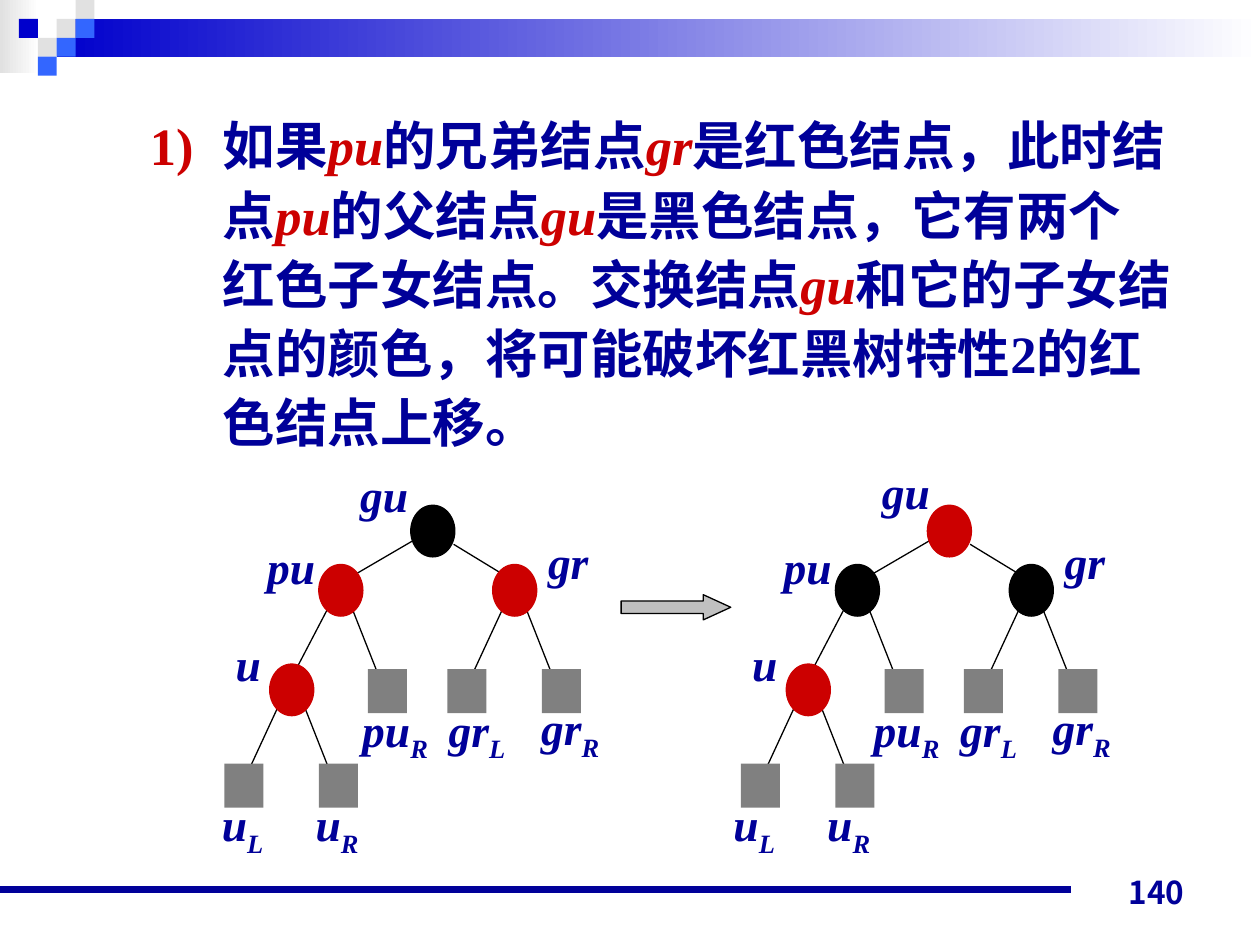
from lxml import etree
from pptx import Presentation
from pptx.dml.color import RGBColor
from pptx.enum.shapes import MSO_CONNECTOR, MSO_SHAPE
from pptx.enum.text import MSO_ANCHOR, MSO_AUTO_SIZE, PP_ALIGN
from pptx.oxml.ns import qn
from pptx.util import Inches, Pt

RECT, OVAL, ARROW = MSO_SHAPE.RECTANGLE, MSO_SHAPE.OVAL, MSO_SHAPE.RIGHT_ARROW
STRAIGHT = MSO_CONNECTOR.STRAIGHT
LEFT, CENTER, RIGHT = PP_ALIGN.LEFT, PP_ALIGN.CENTER, PP_ALIGN.RIGHT
TOP, BOTTOM = MSO_ANCHOR.TOP, MSO_ANCHOR.BOTTOM
GROW = MSO_AUTO_SIZE.SHAPE_TO_FIT_TEXT

NAVY = RGBColor(0x00, 0x00, 0x99)
BLUE = RGBColor(0x00, 0x00, 0xCC)
SKY = RGBColor(0x33, 0x66, 0xFF)
RED = RGBColor(0xCC, 0x00, 0x00)
BLACK = RGBColor(0x00, 0x00, 0x00)
GRAY = RGBColor(0x80, 0x80, 0x80)
SILVER = RGBColor(0xC0, 0xC0, 0xC0)
PALE = RGBColor(0xE1, 0xE1, 0xE1)
WHITE = RGBColor(0xFF, 0xFF, 0xFF)

SERIF, SANS = "Times New Roman", "Noto Sans CJK JP"
BODY = {"size": Pt(30), "name": SERIF, "bold": True, "italic": False}
LABEL = {"size": Pt(26), "name": SERIF, "bold": True, "italic": True}
NUMBER = {"size": Pt(18), "name": SANS, "bold": True}

# Inner nodes: name, left, top
NODES = [("gu", 3.26, 4.01), ("pu", 2.53, 4.48), ("gr", 3.91, 4.48), ("u", 2.14, 5.27)]
# Edges from the root: start, end
ROOT_EDGES = [(3.28, 4.29, 2.68, 4.64), (3.6, 4.32, 4.06, 4.6)]
# Forks below a node: x, y, reach of the left edge, offsets of the leaves
FORKS = [
    (2.68, 4.68, 0.35, [0.24]),
    (4.06, 4.68, 0.31, [-0.51, 0.24]),
    (2.29, 5.43, 0.31, [-0.51, 0.24]),
]
NODE_LABELS = [("pu", 2.02, 4.23, 0.58), ("u", 1.77, 5, 0.4), ("gr", 4.25, 4.19, 0.52)]
# Leaf labels: name, subscript, left, top, width
LEAF_LABELS = [
    ("u", "L", 1.57, 6.27, 0.71),
    ("u", "R", 2.32, 6.27, 0.71),
    ("pu", "R", 2.72, 5.52, 0.83),
    ("gr", "L", 3.43, 5.52, 0.71),
    ("gr", "R", 4.17, 5.51, 0.71),
]
STATEMENT = [
    ("1)\t", RED, False), ("如果", NAVY, False), ("pu", RED, True),
    ("的兄弟结点", NAVY, False), ("gr", RED, True),
    ("是红色结点，此时结点", NAVY, False), ("pu", RED, True),
    ("的父结点", NAVY, False), ("gu", RED, True),
    ("是黑色结点，它有两个红色子女结点。交换结点", NAVY, False), ("gu", RED, True),
    ("和它的子女结点的颜色，将可能破坏红黑树特性2的红色结点上移。", NAVY, False),
]


class SlideBuilder:
    def __init__(self, page):
        self.page = page

    def shape(self, kind, left, top, width, height, color, outline=None):
        shape = self.page.shapes.add_shape(
            kind, Inches(left), Inches(top), Inches(width), Inches(height))
        shape.shadow.inherit = False
        shape.fill.solid()
        shape.fill.fore_color.rgb = color
        if outline is None:
            shape.line.fill.background()
        else:
            shape.line.color.rgb = outline
            shape.line.width = Pt(0.75)
        return shape

    def fade(self, left, top, width, height, start):
        shape = self.shape(RECT, left, top, width, height, start)
        shape.fill.gradient()
        shape.fill.gradient_angle = 0
        for stop, position, color in zip(shape.fill.gradient_stops, (0, 1), (start, WHITE)):
            stop.position = position
            stop.color.rgb = color

    def line(self, x1, y1, x2, y2, color=BLACK, width=0.75):
        line = self.page.shapes.add_connector(
            STRAIGHT, Inches(x1), Inches(y1), Inches(x2), Inches(y2))
        line.line.color.rgb = color
        line.line.width = Pt(width)
        etree.SubElement(line._element.spPr, qn("a:effectLst"))

    def text(self, left, top, width, height, align=CENTER, anchor=TOP, wrap=True):
        box = self.page.shapes.add_textbox(
            Inches(left), Inches(top), Inches(width), Inches(height))
        box.text_frame.word_wrap = wrap
        box.text_frame.vertical_anchor = anchor
        para = box.text_frame.paragraphs[0]
        para.alignment = align
        return box, para

    def span(self, para, words, style, color=NAVY):
        span = para.add_run()
        span.text = words
        for key, value in style.items():
            setattr(span.font, key, value)
        span.font.color.rgb = color
        properties = span.font._element
        etree.SubElement(properties, qn("a:ea")).set("typeface", SANS)
        return properties

    def label(self, name, left, top, width, subscript=None):
        box, para = self.text(left, top, width, 0.53, wrap=subscript is not None)
        box.text_frame.auto_size = GROW
        self.span(para, name, LABEL)
        if subscript:
            self.span(para, subscript, LABEL).set("baseline", "-25000")

    def tree(self, shift, label_shift, colors, root_label):
        for x1, y1, x2, y2 in ROOT_EDGES:
            self.line(x1 + shift, y1, x2 + shift, y2)
        for x, y, reach, leaves in FORKS:
            x += shift
            self.line(x, y, x - reach, y + 0.67)
            self.line(x + 0.04, y - 0.04, x + 0.32, y + 0.67)
            for offset in leaves:
                self.shape(RECT, x + offset, y + 0.63, 0.31, 0.35, GRAY)
        for name, left, top in NODES:
            self.shape(OVAL, left + shift, top, 0.35, 0.41, colors[name], colors[name])
        self.label("gu", *root_label, 0.58)
        for name, left, top, width in NODE_LABELS:
            self.label(name, left + shift, top, width)
        for name, subscript, left, top, width in LEAF_LABELS:
            self.label(name, left + label_shift, top, width, subscript)


def main():
    deck = Presentation()
    deck.slide_width, deck.slide_height = Inches(10), Inches(7.5)
    builder = SlideBuilder(deck.slides.add_slide(deck.slide_layouts[6]))

    # Header band and mosaic
    builder.fade(0, 0, 0.31, 0.58, PALE)
    builder.fade(0.45, 0.15, 9.55, 0.3, BLUE)
    for column, row, color in [(3, 1, PALE), (4, 0, PALE), (4, 1, SKY), (2, 2, PALE),
                               (1, 1, BLUE), (3, 2, SKY), (2, 3, SKY)]:
        builder.shape(RECT, 0.15 * column, 0.15 * row, 0.15, 0.15, color)

    # Footer rule and page number
    builder.line(0, 7.06, 8.5, 7.06, NAVY, 4.5)
    _, para = builder.text(7.17, 6.78, 2.33, 0.5, RIGHT, BOTTOM)
    builder.span(para, "140", NUMBER)

    # Statement with a hanging number
    _, para = builder.text(0.59, 0.8, 8.82, 6.14, LEFT)
    para.line_spacing = 1.1
    properties = para._p.get_or_add_pPr()
    properties.set("marL", str(Inches(1.08)))
    properties.set("indent", str(Inches(-0.58)))
    for words, color, italic in STATEMENT:
        builder.span(para, words, {**BODY, "italic": italic}, color)

    # Trees before and after the colour swap
    before = {"gu": BLACK, "pu": RED, "gr": RED, "u": RED}
    after = {"gu": RED, "pu": BLACK, "gr": BLACK, "u": RED}
    builder.tree(0, 0, before, (2.76, 3.66))
    builder.tree(4.1, 4.06, after, (6.9, 3.63))
    arrow = builder.shape(ARROW, 4.93, 4.72, 0.87, 0.2, SILVER, BLACK)
    arrow.adjustments[0], arrow.adjustments[1] = 0.5, 1.09

    deck.save("out.pptx")


if __name__ == "__main__":
    main()
